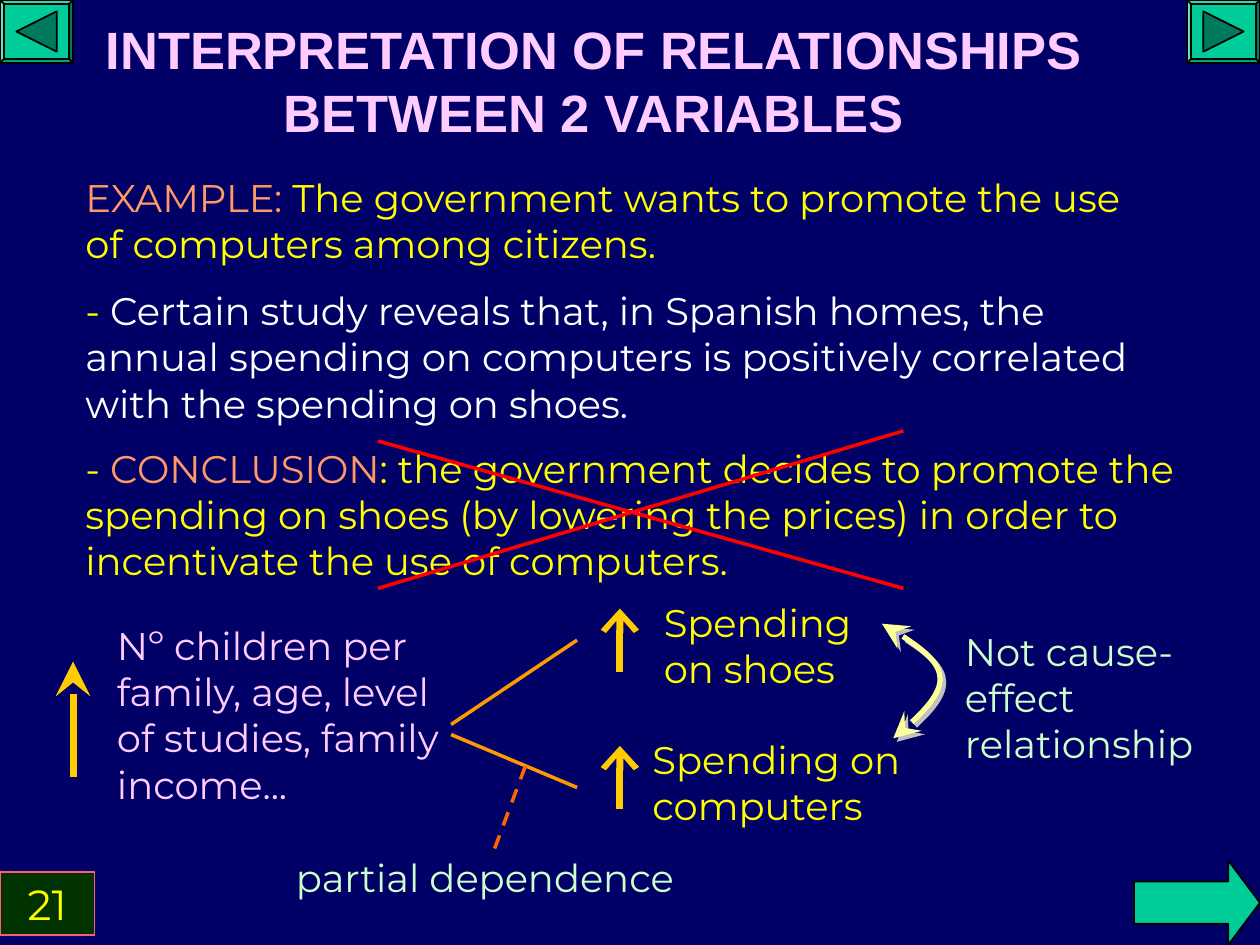
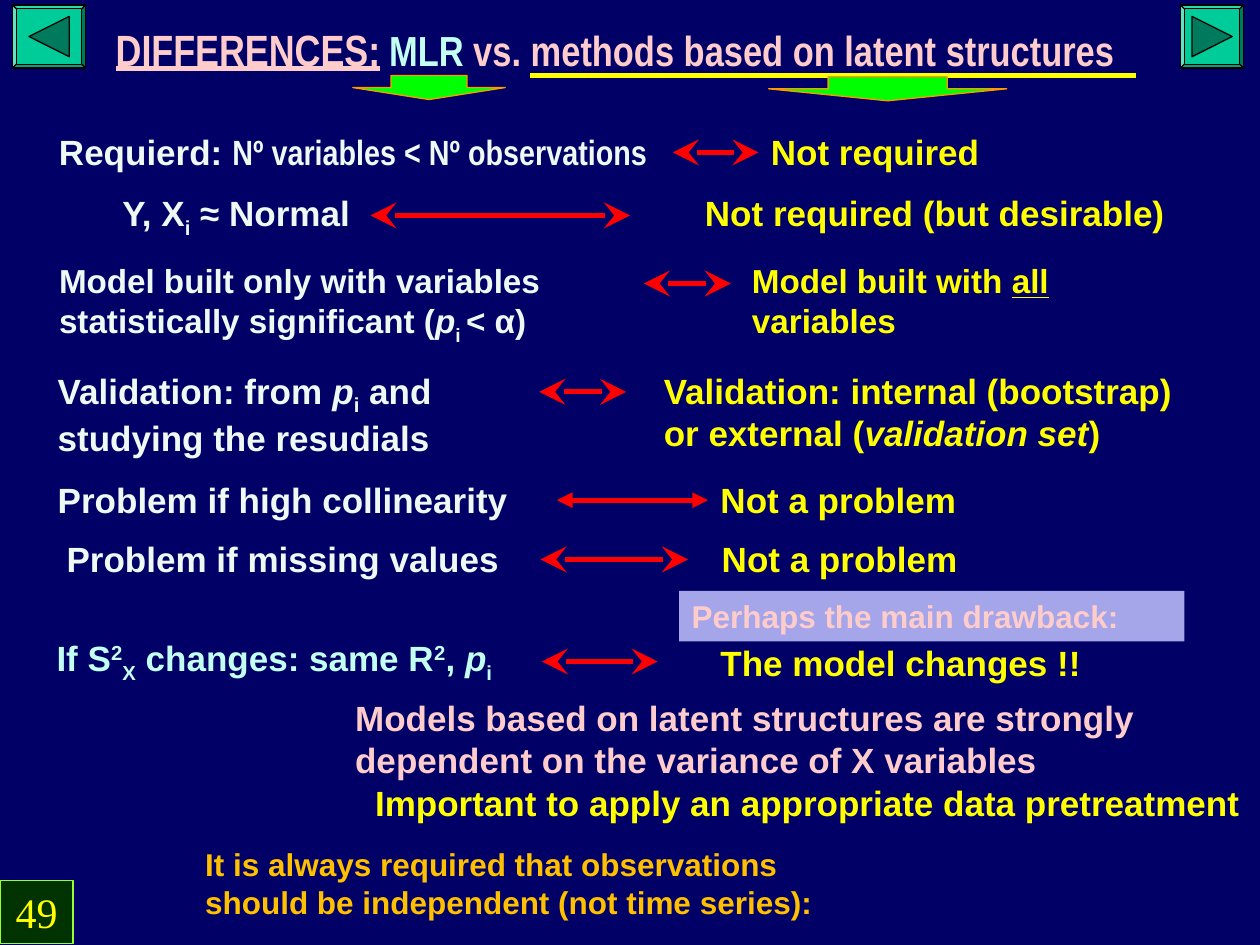
from lxml import etree
from pptx import Presentation
from pptx.dml.color import RGBColor
from pptx.enum.dml import MSO_LINE_DASH_STYLE as Dash
from pptx.enum.shapes import MSO_CONNECTOR, MSO_SHAPE as Shape
from pptx.enum.text import MSO_ANCHOR as Anchor, PP_ALIGN as Align
from pptx.oxml.ns import qn
from pptx.util import Inches, Pt

NAVY = RGBColor(0x00, 0x00, 0x66)
TEAL = RGBColor(0x00, 0xCC, 0x99)
DARK_TEAL = RGBColor(0x00, 0x7A, 0x5C)
BLACK = RGBColor(0x00, 0x00, 0x00)
WHITE = RGBColor(0xFF, 0xFF, 0xFF)
DARK_GREEN = RGBColor(0x00, 0x33, 0x00)
GREEN = RGBColor(0x00, 0xFF, 0x00)
LIME = RGBColor(0x99, 0xFF, 0x33)
ROSE = RGBColor(0xFF, 0x5B, 0x7A)
YELLOW = RGBColor(0xFF, 0xFF, 0x00)
PALE_YELLOW = RGBColor(0xFF, 0xFF, 0x99)
GOLD = RGBColor(0xFF, 0xCC, 0x00)
AMBER = RGBColor(0xFF, 0xC0, 0x00)
ORANGE = RGBColor(0xFF, 0x99, 0x00)
DARK_ORANGE = RGBColor(0xFF, 0x66, 0x00)
SALMON = RGBColor(0xFF, 0x99, 0x66)
RED = RGBColor(0xFF, 0x00, 0x00)
LILAC = RGBColor(0xFF, 0xCC, 0xFF)
PINK = RGBColor(0xFF, 0xCC, 0xCC)
MINT = RGBColor(0xCC, 0xFF, 0xCC)
AQUA = RGBColor(0xC2, 0xFF, 0xF0)
ICE = RGBColor(0xEE, 0xF9, 0xF4)
LAVENDER = RGBColor(0xA5, 0xA5, 0xE9)

BODY_FONT, HEAD_FONT, NARROW_FONT = "Montserrat", "Arial", "Arial Narrow"
SUB, SUPER = {"baseline": -25}, {"baseline": 30}
ITALIC, UNDERLINE = {"italic": True}, {"underline": True}
TIP_LENGTHS = {"stealth": "lg", "arrow": "med", "triangle": "med"}
TIP_WIDTHS = {"stealth": "lg", "arrow": "lg", "triangle": "med"}

EXAMPLE_TEXTS = [
    ((0.58, 1.25, 8.5, 1), YELLOW, [
        ("EXAMPLE:", {"color": SALMON}),
        " The government wants to promote the use of computers among citizens."]),
    ((0.58, 2.33, 8.5, 1), WHITE, [
        ("- ", {"color": YELLOW}),
        "Certain study reveals that, in Spanish homes, the annual spending on computers "
        "is positively correlated with the spending on shoes."]),
    ((0.58, 3.58, 9, 1), YELLOW, [
        "- ", ("CONCLUSION", {"color": SALMON}),
        ": the government decides to promote the spending on shoes (by lowering the prices) "
        "in order to incentivate the use of computers."]),
    ((0.83, 5.17, 2.92, 1), LILAC,
     ["Nº children per family, age, level of studies, family income..."]),
    ((5.17, 4.83, 1.83, 0.58), YELLOW, ["Spending on shoes"]),
    ((5.08, 5.92, 2.33, 0.58), YELLOW, ["Spending on computers"]),
    ((2.25, 6.67, 3.75, 0.58), MINT, ["partial dependence"]),
    ((7.56, 4.87, 2.32, 1.32), MINT, ["Not cause-effect relationship"]),
]
EXAMPLE_LINES = [
    ((0.58, 5.25), (0.58, 6.17), GOLD, 4, {"head": "stealth"}),
    ((4.92, 4.83), (4.92, 5.33), GOLD, 4, {"head": "arrow"}),
    ((4.92, 5.92), (4.92, 6.42), GOLD, 4, {"head": "arrow"}),
    ((3.58, 5.75), (4.58, 5.08), ORANGE, 2, {}),
    ((3.58, 5.83), (4.58, 6.25), ORANGE, 2, {}),
    ((4.17, 6.08), (3.92, 6.75), DARK_ORANGE, 2, {"dash": Dash.DASH}),
    ((3, 4.67), (7.17, 3.42), RED, 2, {}),
    ((3, 3.5), (7.17, 4.67), RED, 2, {}),
]
NO_CAUSE_CURVE = [
    ((7, 4.95), (7.22, 5.08), (7.45, 5.22), (7.46, 5.37)),
    ((7.46, 5.37), (7.48, 5.52), (7.29, 5.69), (7.09, 5.86)),
]

COMPARISONS = [
    {"mlr": ((0.37, 0.99, 5.34, 0.44),
             ["Requierd: ", ("Nº variables < Nº observations", {"font": NARROW_FONT})]),
     "latent": ((6.02, 0.99, 3.54, 0.44), ["Not required"]),
     "arrow": (5.34, 6.02, 1.21)},
    {"mlr": ((0.64, 1.47, 2.47, 0.48), ["Y, X", ("i", SUB), " ≈ Normal"]),
     "latent": ((5, 1.47, 4.84, 0.44), ["Not required (but desirable)"]),
     "arrow": (2.94, 5, 1.71), "align": Align.CENTER, "latent_align": Align.CENTER},
    {"mlr": ((0.37, 2.02, 5.02, 0.78),
             ["Model built only with variables statistically significant (",
              ("p", ITALIC), ("i ", SUB), "< α)"]),
     "latent": ((5.87, 2.02, 3.7, 0.74),
                ["Model built with ", ("all", UNDERLINE), " variables"]),
     "arrow": (5.11, 5.8, 2.25), "size": 19},
    {"mlr": ((0.36, 2.88, 4.23, 0.82),
             ["Validation: from ", ("p", ITALIC), ("i", SUB), " and studying the resudials"]),
     "latent": ((5.17, 2.88, 4.5, 0.78),
                ["Validation: internal (bootstrap) or external (",
                 ("validation set", ITALIC), ")"]),
     "arrow": (4.28, 4.97, 3.11)},
    {"mlr": ((0.36, 3.75, 4.39, 0.44), ["Problem if high collinearity"]),
     "latent": ((5.62, 3.75, 2.6, 0.44), ["Not a problem"]),
     "arrow": (4.42, 5.62, 3.97), "tip": "triangle"},
    {"mlr": ((0.12, 4.22, 4.25, 0.44), ["Problem if missing values"]),
     "latent": ((5.63, 4.22, 2.74, 0.44), ["Not a problem"]),
     "arrow": (4.29, 5.46, 4.44), "align": Align.CENTER},
    {"mlr": ((0.35, 5, 4.09, 0.48),
             ["If S", ("2", SUPER), ("X", SUB), " changes: same R", ("2", SUPER), ", ",
              ("p", ITALIC), ("i", SUB)]),
     "latent": ((5.62, 5.04, 3.54, 0.44), ["The model changes !!"]),
     "arrow": (4.3, 5.22, 5.25), "color": AQUA},
]
LATENT_NOTES = [
    ((2.72, 5.48, 7.08, 0.77), PINK, 20, Align.LEFT,
     "Models based on latent structures are strongly dependent on the variance of X variables"),
    ((2.82, 6.15, 7.18, 0.44), YELLOW, 20, Align.CENTER,
     "Important to apply an appropriate data pretreatment"),
    ((1.53, 6.66, 5.43, 0.7), AMBER, 18, Align.LEFT,
     "It is always required that observations should be independent (not time series):"),
]


def inches(values):
    return [Inches(value) for value in values]


def write(shape, runs, size, color, font=HEAD_FONT, bold=False,
          align=Align.LEFT, anchor=Anchor.TOP):
    frame = shape.text_frame
    frame.word_wrap = True
    frame.vertical_anchor = anchor
    paragraph = frame.paragraphs[0]
    paragraph.alignment = align
    for item in runs:
        text, style = item if isinstance(item, tuple) else (item, {})
        run = paragraph.add_run()
        run.text = text
        run.font.size = Pt(style.get("size", size))
        run.font.name = style.get("font", font)
        run.font.color.rgb = style.get("color", color)
        run.font.bold = bold
        run.font.italic = style.get("italic")
        run.font.underline = style.get("underline")
        if "baseline" in style:
            run.font._element.set("baseline", str(style["baseline"] * 1000))


def add_text(slide, box, runs, size, color, **options):
    shape = slide.shapes.add_textbox(*inches(box))
    write(shape, runs, size, color, **options)
    return shape


def add_block(slide, kind, box, fill, line=None, width=1):
    shape = slide.shapes.add_shape(kind, *inches(box))
    shape.shadow.inherit = False
    paint(shape, fill, line, width)
    return shape


def paint(shape, fill, line, width):
    shape.fill.solid()
    shape.fill.fore_color.rgb = fill
    if line is None:
        shape.line.fill.background()
    else:
        shape.line.color.rgb = line
        shape.line.width = Pt(width)


def add_tips(shape, head=None, tail=None):
    line = shape.line._get_or_add_ln()
    for tag, tip in (("a:headEnd", head), ("a:tailEnd", tail)):
        if tip:
            etree.SubElement(line, qn(tag), type=tip, w=TIP_WIDTHS[tip], len=TIP_LENGTHS[tip])


def add_line(slide, start, end, color, width, head=None, tail=None, dash=None):
    connector = slide.shapes.add_connector(MSO_CONNECTOR.STRAIGHT, *inches(start + end))
    connector.line.color.rgb = color
    connector.line.width = Pt(width)
    if dash:
        connector.line.dash_style = dash
    add_tips(connector, head, tail)
    etree.SubElement(connector._element.spPr, qn("a:effectLst"))
    return connector


def add_outline(slide, points, close):
    corners = [inches(point) for point in points]
    builder = slide.shapes.build_freeform(*corners[0])
    builder.add_line_segments(corners[1:], close=close)
    shape = builder.convert_to_shape()
    shape.shadow.inherit = False
    return shape


def add_button(slide, box, direction, width):
    bevel = add_block(slide, Shape.BEVEL, box, TEAL, BLACK, width)
    bevel.adjustments[0] = 0.06
    center_x, center_y = box[0] + box[2] / 2, box[1] + box[3] / 2
    base, half = center_x - direction * 0.16, 0.16
    triangle = add_outline(slide, [(base, center_y - half), (center_x + direction * half, center_y),
                                   (base, center_y + half)], True)
    paint(triangle, DARK_TEAL, BLACK, width)


def add_page_number(slide, box, number, font, line, width):
    badge = add_block(slide, Shape.RECTANGLE, box, DARK_GREEN, line, width)
    write(badge, [number], 24, YELLOW, font=font, align=Align.CENTER)


def curve_points(segments, steps=16):
    points = [segments[0][0]]
    for segment in segments:
        for step in range(1, steps + 1):
            t = step / steps
            weights = ((1 - t) ** 3, 3 * t * (1 - t) ** 2, 3 * t * t * (1 - t), t ** 3)
            points.append([sum(w * p[axis] for w, p in zip(weights, segment)) for axis in (0, 1)])
    return points


def add_double_curve(slide):
    curve = add_outline(slide, curve_points(NO_CAUSE_CURVE), False)
    curve.fill.background()
    curve.line.color.rgb = PALE_YELLOW
    curve.line.width = Pt(3)
    add_tips(curve, "stealth", "stealth")
    effects = curve._element.spPr.find(qn("a:effectLst"))
    shadow = etree.SubElement(effects, qn("a:outerShdw"), blurRad="0",
                              dist=str(Pt(2.8)), dir="2700000", algn="ctr", rotWithShape="0")
    etree.SubElement(shadow, qn("a:srgbClr"), val="C0C0C0")


def new_slide(presentation):
    slide = presentation.slides.add_slide(presentation.slide_layouts[6])
    slide.background.fill.solid()
    slide.background.fill.fore_color.rgb = NAVY
    return slide


def build_interpretation(presentation):
    slide = new_slide(presentation)
    add_button(slide, (9.42, 0, 0.58, 0.5), 1, 1)
    add_button(slide, (0, 0, 0.58, 0.5), -1, 1)
    next_arrow = add_block(slide, Shape.RIGHT_ARROW, (9, 6.83, 1, 0.67), TEAL, BLACK)
    next_arrow.adjustments[1] = 0.375
    add_page_number(slide, (0, 6.92, 0.75, 0.5), "21", BODY_FONT, ROSE, 1)
    for box, color, runs in EXAMPLE_TEXTS:
        add_text(slide, box, runs, 22, color, font=BODY_FONT, anchor=Anchor.MIDDLE)
    for start, end, color, width, options in EXAMPLE_LINES:
        add_line(slide, start, end, color, width, **options)
    add_double_curve(slide)
    add_text(slide, (0.02, 0.05, 9.39, 1.17),
             ["INTERPRETATION OF RELATIONSHIPS BETWEEN 2 VARIABLES"], 30, LILAC,
             bold=True, align=Align.CENTER, anchor=Anchor.MIDDLE)


def add_comparison(slide, row):
    size = row.get("size", 20)
    box, runs = row["mlr"]
    add_text(slide, box, runs, size, row.get("color", ICE), bold=True,
             align=row.get("align", Align.LEFT))
    box, runs = row["latent"]
    latent = add_text(slide, box, runs, size, YELLOW, bold=True,
                      align=row.get("latent_align", Align.LEFT))
    left, right, y = row["arrow"]
    tip = row.get("tip", "stealth")
    arrow = add_line(slide, (left, y), (right, y), RED, 3, head=tip, tail=tip)
    if right == box[0] and abs(y - box[1] - box[3] / 2) < 0.01:
        arrow.end_connect(latent, 1)


def build_differences(presentation):
    slide = new_slide(presentation)
    add_text(slide, (0.82, 0.13, 9.14, 0.52),
             [("DIFFERENCES:", {"size": 25, "underline": True}), (" ", {"size": 22}),
              ("MLR ", {"color": AQUA}), "vs. methods based on latent structures"],
             24, PINK, font=NARROW_FONT, bold=True)
    for row in COMPARISONS:
        add_comparison(slide, row)
    drawback = add_block(slide, Shape.RECTANGLE, (5.39, 4.69, 4.01, 0.4), LAVENDER)
    write(drawback, ["Perhaps the main drawback:"], 18, PINK, bold=True)
    for box, color, size, align, text in LATENT_NOTES:
        add_text(slide, box, [text], size, color, bold=True, align=align)
    add_page_number(slide, (0, 6.99, 0.58, 0.5), "49", "Times New Roman", LIME, 0.75)
    add_button(slide, (9.37, 0.04, 0.5, 0.5), 1, 0.75)
    add_button(slide, (0.1, 0.04, 0.58, 0.5), -1, 0.75)
    add_line(slide, (4.21, 0.6), (9.02, 0.6), YELLOW, 2.5)
    for box in ((6.1, 0.61, 1.89, 0.19), (2.8, 0.6, 1.21, 0.19)):
        add_block(slide, Shape.DOWN_ARROW, box, GREEN, ORANGE, 0.75)


def main():
    presentation = Presentation()
    presentation.slide_width, presentation.slide_height = Inches(10), Inches(7.5)
    build_interpretation(presentation)
    build_differences(presentation)
    presentation.save("out.pptx")


if __name__ == "__main__":
    main()
